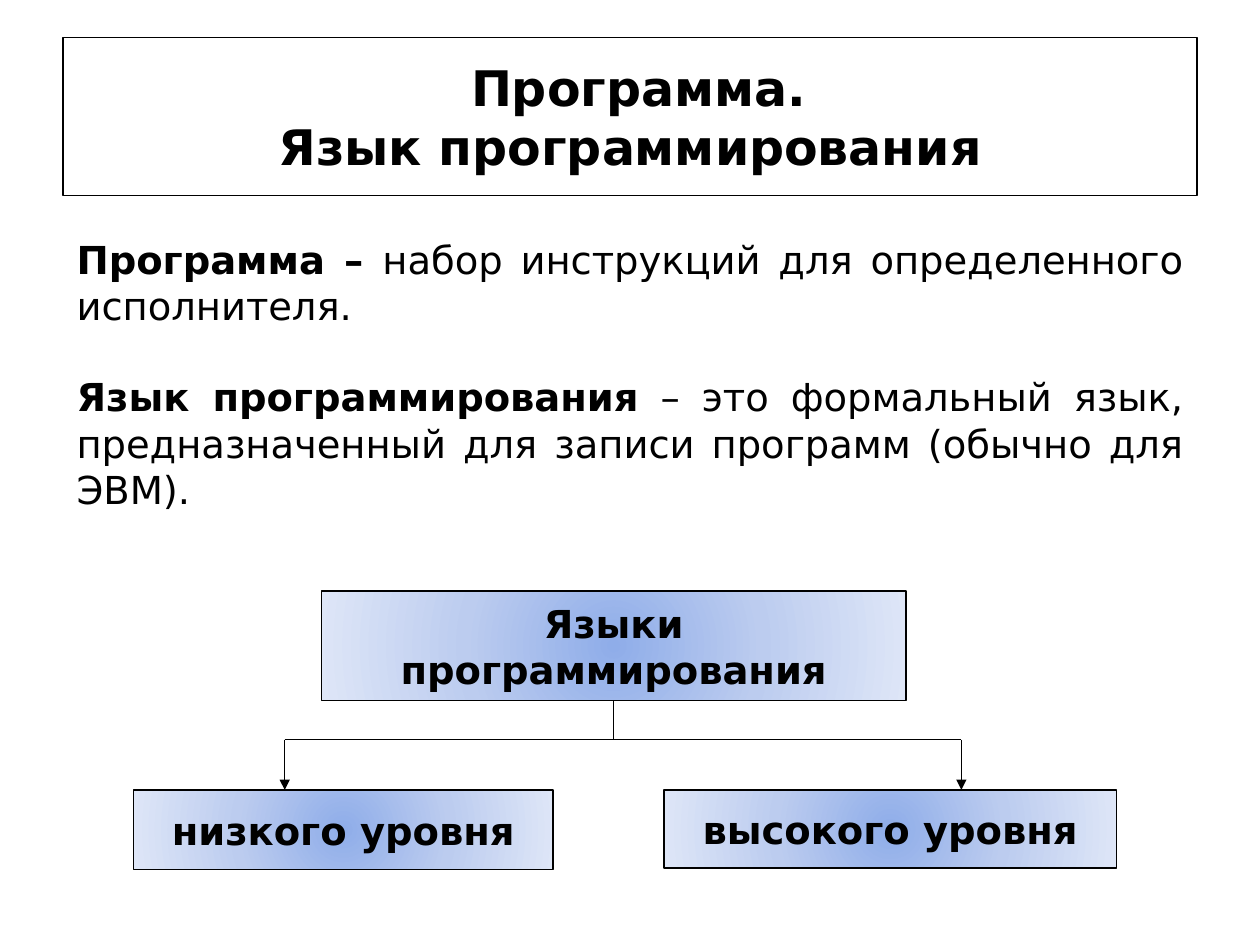
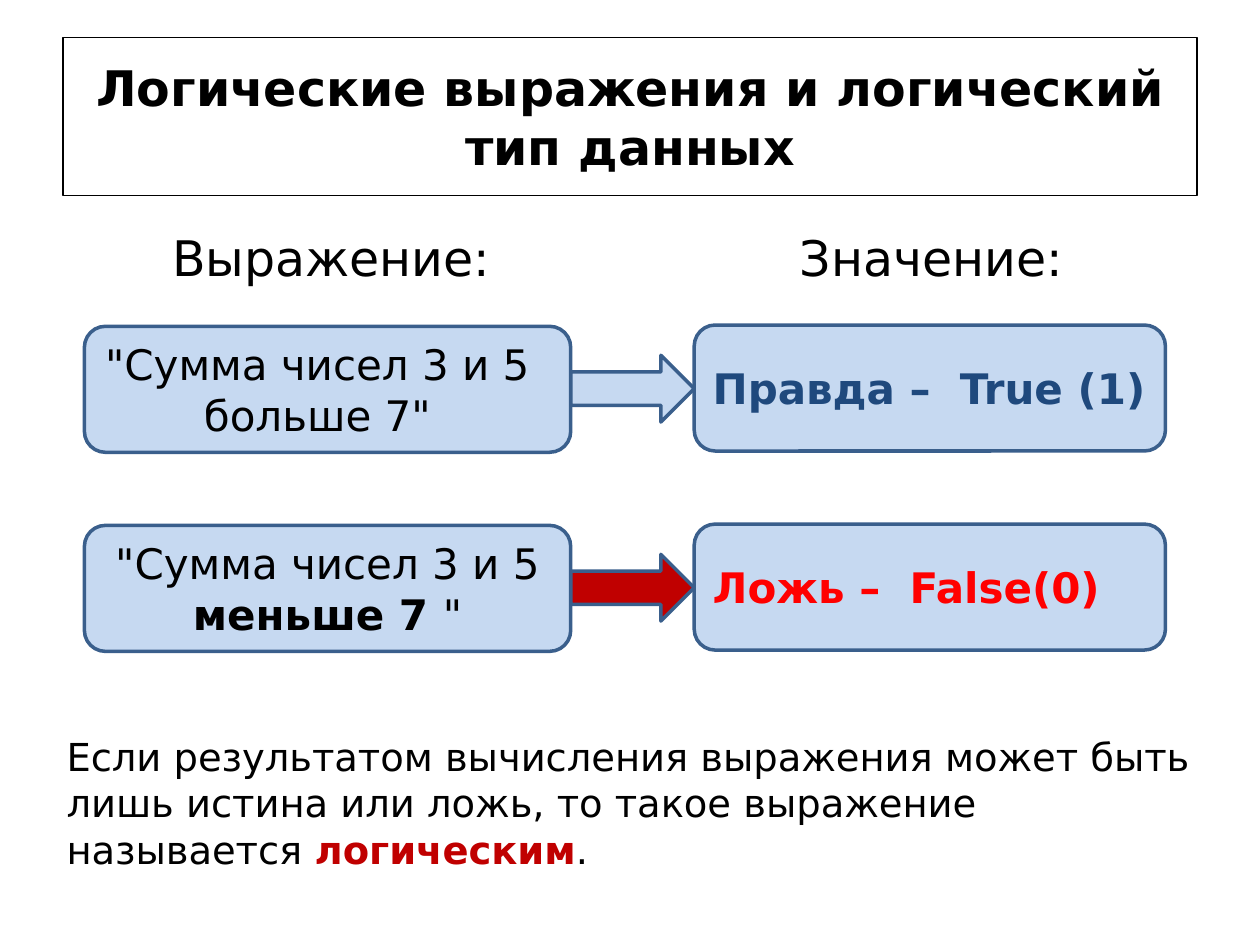
from pptx import Presentation
from pptx.dml.color import RGBColor
from pptx.enum.shapes import MSO_CONNECTOR, MSO_SHAPE
from pptx.enum.text import MSO_ANCHOR as ANCHOR, PP_ALIGN as ALIGN
from pptx.oxml import parse_xml
from pptx.oxml.ns import nsdecls, qn
from pptx.util import Inches, Pt

BLACK = RGBColor(0x00, 0x00, 0x00)
PALE_BLUE = RGBColor(0xC6, 0xD9, 0xF1)
OUTLINE_BLUE = RGBColor(0x3A, 0x5F, 0x8C)
NAVY = RGBColor(0x1F, 0x49, 0x7D)
DARK_RED = RGBColor(0xC0, 0x00, 0x00)
RED = RGBColor(0xFF, 0x00, 0x00)
FONT = "DejaVu Sans"
RADIAL_FILL = f"""<a:gradFill {nsdecls('a')} rotWithShape="1"><a:gsLst>
<a:gs pos="0"><a:srgbClr val="8FADE9"/></a:gs>
<a:gs pos="50000"><a:srgbClr val="BCCCEF"/></a:gs>
<a:gs pos="100000"><a:srgbClr val="DEE6F7"/></a:gs></a:gsLst>
<a:path path="circle"><a:fillToRect l="50000" t="50000" r="50000" b="50000"/></a:path>
</a:gradFill>"""


def add_box(slide, kind, box, fill=None, line=BLACK, width=0.75):
    """Add a preset shape; without a kind, add a plain text box."""
    left, top, box_width, height = map(Inches, box)
    if kind is None:
        return slide.shapes.add_textbox(left, top, box_width, height)
    shape = slide.shapes.add_shape(kind, left, top, box_width, height)
    shape.shadow.inherit = False
    if fill is None:
        shape.fill.background()
    else:
        shape.fill.solid()
        shape.fill.fore_color.rgb = fill
    shape.line.color.rgb = line
    shape.line.width = Pt(width)
    return shape


def write(shape, paragraphs, size, align=ALIGN.LEFT, anchor=ANCHOR.TOP, wrap=True, gap=0):
    """Fill a shape with paragraphs, each a list of (text, bold, colour) runs."""
    frame = shape.text_frame
    frame.word_wrap = wrap
    frame.vertical_anchor = anchor
    for index, runs in enumerate(paragraphs):
        paragraph = frame.add_paragraph() if index else frame.paragraphs[0]
        paragraph.alignment = align
        paragraph.space_before = Pt(gap if index else 0)
        for text, bold, color in runs:
            run = paragraph.add_run()
            run.text = text
            run.font.name = FONT
            run.font.size = Pt(size)
            run.font.bold = bold
            run.font.color.rgb = color


presentation = Presentation()
presentation.slide_width = Inches(10)
presentation.slide_height = Inches(7.5)

# Shared title frame
titles = [
    [" Программа.", "Язык программирования"],
    ["Логические выражения и логический тип данных"],
]
slides = []
for title_lines in titles:
    slide = presentation.slides.add_slide(presentation.slide_layouts[6])
    title = add_box(slide, MSO_SHAPE.RECTANGLE, (0.5, 0.3, 9, 1.25))
    write(title, [[(text, True, BLACK)] for text in title_lines], 28, ALIGN.CENTER, ANCHOR.MIDDLE)
    slides.append(slide)
language_slide, logic_slide = slides

# Slide 1: definitions and the tree of languages
definitions = [
    [("Программа – ", True, BLACK),
     ("набор инструкций для определенного исполнителя.", False, BLACK)],
    [("Язык программирования", True, BLACK),
     (" – это формальный язык, предназначенный для записи программ (обычно для ЭВМ).",
      False, BLACK)],
]
write(add_box(language_slide, None, (0.51, 1.82, 8.98, 2.32)), definitions, 22,
      ALIGN.JUSTIFY, gap=26)

tree_boxes = []
for text, box in [
    ("Языки программирования", (2.55, 4.69, 4.64, 0.87)),
    ("низкого уровня", (1.06, 6.27, 3.33, 0.63)),
    ("высокого уровня", (5.27, 6.27, 3.59, 0.62)),
]:
    node = add_box(language_slide, MSO_SHAPE.RECTANGLE, box)
    properties = node._element.spPr
    properties.replace(properties.find(qn("a:noFill")), parse_xml(RADIAL_FILL))
    write(node, [[(text, True, BLACK)]], 22, ALIGN.CENTER, ANCHOR.MIDDLE)
    tree_boxes.append(node)

root = tree_boxes[0]
branch_y, level_y = 5.87, 6.27
low_x, root_x, high_x = 2.26, 4.87, 7.63
for start_x, start_y, end_x, end_y in [
    (root_x, 5.56, root_x, branch_y),
    (low_x, branch_y, high_x, branch_y),
    (low_x, branch_y, low_x, level_y),
    (high_x, branch_y, high_x, level_y),
]:
    connector = language_slide.shapes.add_connector(
        MSO_CONNECTOR.STRAIGHT, Inches(start_x), Inches(start_y), Inches(end_x), Inches(end_y))
    connector.line.color.rgb = BLACK
    connector.line.width = Pt(0.75)
    if start_x == root_x:
        connector.begin_connect(root, 2)
    if end_y == level_y:
        connector.line._get_or_add_ln().append(
            parse_xml(f'<a:tailEnd {nsdecls("a")} type="triangle"/>'))
    connector._element.spPr.append(parse_xml(f'<a:effectLst {nsdecls("a")}/>'))

# Slide 2: expressions, arrows and their values
for text, box in [("Выражение:", (1.27, 1.76, 2.86, 0.57)), ("Значение:", (6.25, 1.76, 2.45, 0.57))]:
    write(add_box(logic_slide, None, box), [[(text, False, BLACK)]], 28, wrap=False)

examples = [
    ([('"Сумма чисел 3 и 5 больше 7"', False, BLACK)], 0.26, PALE_BLUE,
     "Правда –  True (1)", NAVY),
    ([('"Сумма чисел 3 и 5 ', False, BLACK), ("меньше 7 ", True, BLACK), ('"', False, BLACK)],
     0.1, DARK_RED, "Ложь –  False(0)", RED),
]
for row, (expression, right_margin, arrow_color, value, value_color) in enumerate(examples):
    top = 2.58 + 1.58 * row
    expression_box, arrow, value_box = [
        add_box(logic_slide, kind, box, fill, OUTLINE_BLUE, 2)
        for kind, box, fill in [
            (MSO_SHAPE.ROUNDED_RECTANGLE, (0.67, top + 0.01, 3.86, 1), PALE_BLUE),
            (MSO_SHAPE.RIGHT_ARROW, (4.53, top + 0.24, 0.98, 0.53), arrow_color),
            (MSO_SHAPE.ROUNDED_RECTANGLE, (5.51, top, 3.74, 1), PALE_BLUE),
        ]
    ]
    write(expression_box, [expression], 24, ALIGN.CENTER, ANCHOR.MIDDLE)
    expression_box.text_frame.margin_right = Inches(right_margin)
    write(value_box, [[(value, True, value_color)]], 24, anchor=ANCHOR.MIDDLE)
    value_box.text_frame.margin_left = Inches(0.1)
    value_box.text_frame.margin_right = Inches(0)

conclusion = [
    ("Если результатом вычисления выражения может быть лишь истина или ложь, "
     "то такое выражение называется ", False, BLACK),
    ("логическим", True, DARK_RED),
    (".", False, BLACK),
]
write(add_box(logic_slide, None, (0.43, 5.77, 9.13, 1.21)), [conclusion], 22)

presentation.save("out.pptx")
